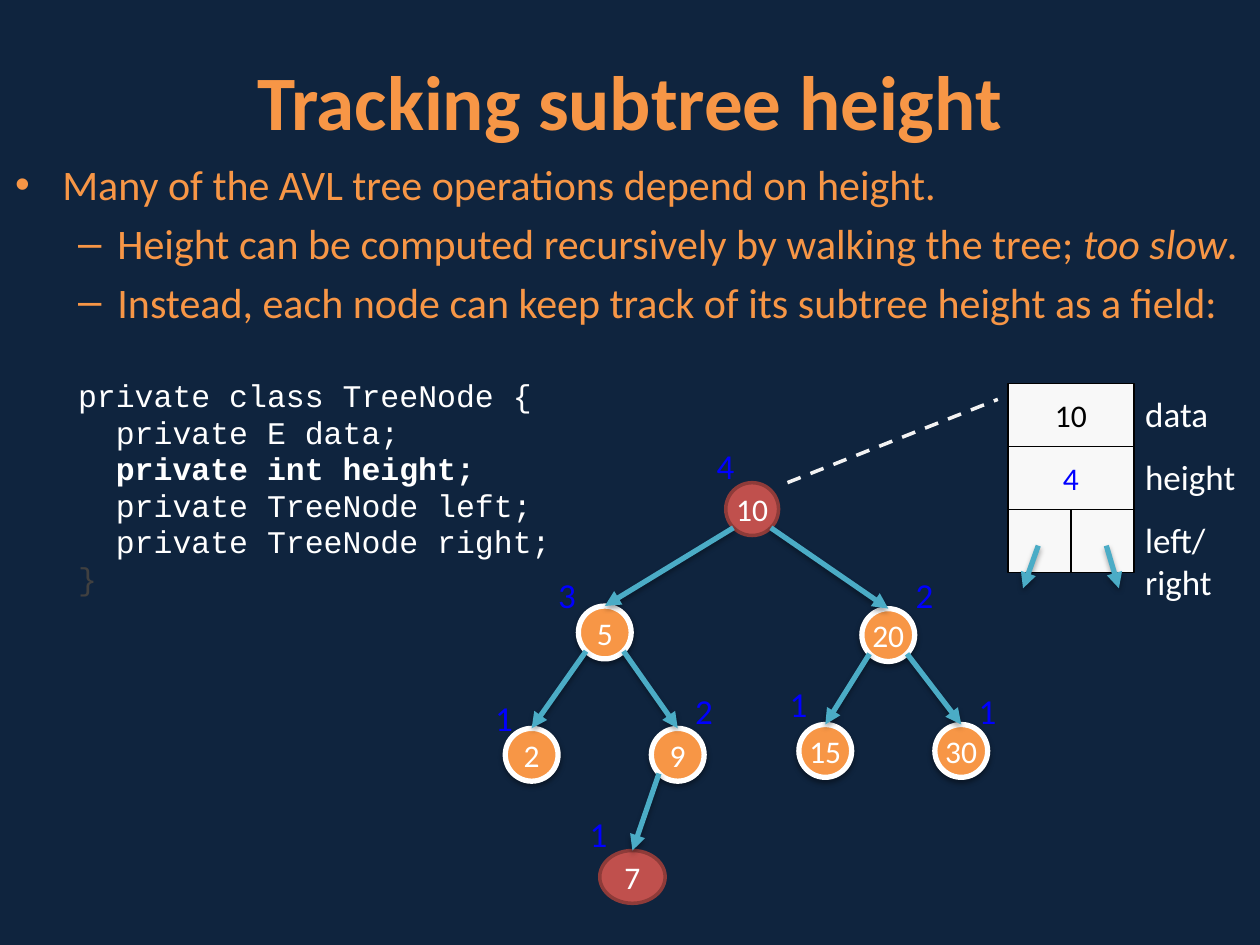
"""Build a slide on tracking subtree heights in an AVL tree."""
from dataclasses import dataclass

import pptx
import pptx.dml.color
import pptx.enum.dml
import pptx.enum.shapes
import pptx.enum.text
import pptx.oxml
import pptx.oxml.ns
import pptx.util

Pt = pptx.util.Pt
SHAPES = pptx.enum.shapes.MSO_SHAPE
CENTER = pptx.enum.text.PP_ALIGN.CENTER
MIDDLE = pptx.enum.text.MSO_ANCHOR.MIDDLE
ORANGE, RED, DARK_RED, TEAL = "F79646", "C0504D", "8E3B39", "4BACC6"
WHITE, BLACK, BLUE, PAPER = "FFFFFF", "000000", "0000FF", "F8F8F8"
NODE_SIZE = 30.2
CELL = 36
RECORD_LEFT, RECORD_TOP = 576, 219


@dataclass
class Node:
    key: str
    left: float
    top: float
    height: str
    height_left: float
    height_top: float
    width: float = NODE_SIZE
    marked: bool = False


@dataclass
class Line:
    runs: list[tuple[str, str]]
    level: int = 1
    code: bool = False
    color: str = ORANGE


NODES = [
    Node("10", 414.7, 275.8, "4", 402.5, 250.6, marked=True),
    Node("5", 330.5, 346.3, "3", 311.8, 324),
    Node("20", 492.5, 347.8, "2", 516.2, 324),
    Node("2", 288.7, 416.2, "1", 275.8, 394.6),
    Node("9", 372.2, 416.2, "2", 390.2, 390.2),
    Node("15", 456.5, 414, "1", 444.2, 386.6),
    Node("30", 534.2, 414, "1", 552.2, 390.2),
    Node("7", 342.7, 486, "1", 329.8, 460.8, width=37.4, marked=True),
]
EDGES = [("10", "5"), ("10", "20"), ("5", "2"), ("5", "9"),
         ("20", "15"), ("20", "30"), ("9", "7")]
LINES = [
    Line([("Many of the AVL tree operations depend on height.", "")], level=0),
    Line([("Height can be computed recursively by walking the tree; ", ""),
          ("too slow", "italic"), (".", "")]),
    Line([("Instead, each node can keep track of its subtree height as a field:", "")]),
    Line([("private class TreeNode {", "")], code=True, color=WHITE),
    Line([("  private E data;", "")], code=True, color=WHITE),
    Line([("  ", ""), ("private int height;", "bold")], code=True, color=WHITE),
    Line([("  private TreeNode left;", "")], code=True, color=WHITE),
    Line([("  private TreeNode right;", "")], code=True, color=WHITE),
    Line([("}", "")], code=True, color="404040"),
]


def rgb(value: str) -> pptx.dml.color.RGBColor:
    """Turn a hex string into a colour."""
    return pptx.dml.color.RGBColor.from_string(value)


def style(font, size: float, color: str, name: str = "Calibri") -> None:
    """Set the size, colour and typeface of a font."""
    font.size, font.name = Pt(size), name
    font.color.rgb = rgb(color)


def place(item, left: float, top: float, width: float, height: float) -> None:
    """Move and size a placeholder."""
    item.left, item.top, item.width, item.height = map(Pt, (left, top, width, height))


def set_shadow(item, alpha: int = 0, distance: float = 0) -> None:
    """Give a shape or connector a soft shadow below it, or none at all."""
    properties = item._element.spPr
    for old in properties.findall(pptx.oxml.ns.qn("a:effectLst")):
        properties.remove(old)
    outer = (f'<a:outerShdw blurRad="{Pt(3.1)}" dist="{Pt(distance)}" dir="5400000" '
             f'rotWithShape="0"><a:srgbClr val="{BLACK}"><a:alpha val="{alpha * 1000}"/>'
             '</a:srgbClr></a:outerShdw>') if alpha else ""
    properties.append(pptx.oxml.parse_xml(
        f'<a:effectLst {pptx.oxml.ns.nsdecls("a")}>{outer}</a:effectLst>'))


def add_box(slide, kind, box: tuple, fill: str, line: str, weight: float,
            label: str = "", color: str = WHITE):
    """Add a filled shape with a centred label."""
    shape = slide.shapes.add_shape(kind, *map(Pt, box))
    shape.shadow.inherit = False
    shape.fill.solid()
    shape.fill.fore_color.rgb = rgb(fill)
    shape.line.color.rgb = rgb(line)
    shape.line.width = Pt(weight)
    if label:
        frame = shape.text_frame
        frame.text = label
        frame.word_wrap = False
        frame.vertical_anchor = MIDDLE
        frame.paragraphs[0].alignment = CENTER
        style(frame.paragraphs[0].runs[0].font, 18, color)
    return shape


def add_label(slide, label: str, box: tuple, color: str) -> None:
    """Add a one-paragraph text box."""
    frame = slide.shapes.add_textbox(*map(Pt, box)).text_frame
    frame.text = label
    frame.word_wrap = False
    for run in frame.paragraphs[0].runs:
        style(run.font, 20, color)


def add_line(slide, start: tuple, end: tuple, color: str, weight: float):
    """Add a straight connector without a shadow."""
    line = slide.shapes.add_connector(
        pptx.enum.shapes.MSO_CONNECTOR.STRAIGHT, *map(Pt, (*start, *end)))
    line.line.color.rgb = rgb(color)
    line.line.width = Pt(weight)
    set_shadow(line)
    return line


def add_arrow(slide, start: tuple, end: tuple):
    """Add a teal arrow with a soft shadow."""
    arrow = add_line(slide, start, end, TEAL, 3)
    arrow.line._get_or_add_ln().append(pptx.oxml.parse_xml(
        f'<a:tailEnd {pptx.oxml.ns.nsdecls("a")} type="triangle"/>'))
    set_shadow(arrow, 35, 1.8)
    return arrow


def write_body(body) -> None:
    """Fill the body with bullets followed by the class listing."""
    place(body, 1.4, 87.1, 720, 437.8)
    frame = body.text_frame
    frame.auto_size = pptx.enum.text.MSO_AUTO_SIZE.NONE
    in_code = False
    for index, line in enumerate(LINES):
        paragraph = frame.paragraphs[0] if index == 0 else frame.add_paragraph()
        paragraph.level = line.level
        if index == 0:
            paragraph.space_before = Pt(0)
        if line.code:
            paragraph.line_spacing = 0.8
            if not in_code:
                paragraph.space_before = Pt(32.4)
            paragraph._p.get_or_add_pPr().append(pptx.oxml.parse_xml(
                f'<a:buNone {pptx.oxml.ns.nsdecls("a")}/>'))
        in_code = line.code
        for words, emphasis in line.runs:
            run = paragraph.add_run()
            run.text = words
            style(run.font, 18 if line.code else 24, line.color,
                  "Courier New" if line.code else "Calibri")
            if emphasis:
                setattr(run.font, emphasis, True)


def draw_tree(slide) -> None:
    """Draw the nodes, the edges between them and the subtree heights."""
    circles = {}
    for node in NODES:
        fill, line, weight = (RED, DARK_RED, 2) if node.marked else (ORANGE, WHITE, 3)
        circle = add_box(slide, SHAPES.OVAL, (node.left, node.top, node.width, NODE_SIZE),
                         fill, line, weight, node.key)
        if not node.marked:
            set_shadow(circle, 38, 1.6)
        circles[node.key] = circle
    by_key = {node.key: node for node in NODES}
    reach = NODE_SIZE / 2 * 0.71
    for parent_key, child_key in EDGES:
        parent, child = by_key[parent_key], by_key[child_key]
        side = -1 if child.left < parent.left else 1
        start = (parent.left + parent.width / 2 + side * reach,
                 parent.top + NODE_SIZE / 2 + reach)
        arrow = add_arrow(slide, start, (child.left + child.width / 2, child.top))
        arrow.end_connect(circles[child_key], 0)
    for node in NODES:
        add_label(slide, node.height, (node.height_left, node.height_top, 24.5, 31), BLUE)


def draw_record(slide) -> None:
    """Draw the fields stored in the root node."""
    fields = [(0, 0, 2, "10", BLACK), (0, 1, 2, "4", BLUE), (0, 2, 1, "", BLACK),
              (1, 2, 1, "", BLACK)]
    for column, row, span, value, color in fields:
        box = (RECORD_LEFT + column * CELL, RECORD_TOP + row * CELL, span * CELL, CELL)
        add_box(slide, SHAPES.RECTANGLE, box, PAPER, BLACK, 0.75, value, color)
    for start_x, end_x in ((593.3, 584.6), (632.2, 639.4)):
        add_arrow(slide, (start_x, 311.8), (end_x, 336.2))
    for row, (field, width, height) in enumerate(
            [("data", 51, 31), ("height", 66, 31), ("left/\vright", 52.6, 55.4)]):
        add_label(slide, field, (647.3, RECORD_TOP + 2 + row * CELL, width, height), WHITE)
    pointer = add_line(slide, (450, 275.8), (570.2, 228.2), "F3F3F3", 2)
    pointer.line.dash_style = pptx.enum.dml.MSO_LINE.DASH


def main() -> None:
    """Build and save the slide."""
    deck = pptx.Presentation()
    deck.slide_width, deck.slide_height = Pt(720), Pt(540)
    slide = deck.slides.add_slide(deck.slide_layouts[1])
    slide.background.fill.solid()
    slide.background.fill.fore_color.rgb = rgb("0F243E")
    title = slide.shapes.title
    place(title, 0, 12.2, 720, 90)
    title.text_frame.text = "Tracking subtree height"
    title.text_frame.vertical_anchor = MIDDLE
    heading = title.text_frame.paragraphs[0]
    heading.alignment = CENTER
    style(heading.runs[0].font, 44, ORANGE)
    heading.runs[0].font.bold = True
    write_body(slide.placeholders[1])
    draw_tree(slide)
    draw_record(slide)
    deck.save("out.pptx")


if __name__ == "__main__":
    main()
